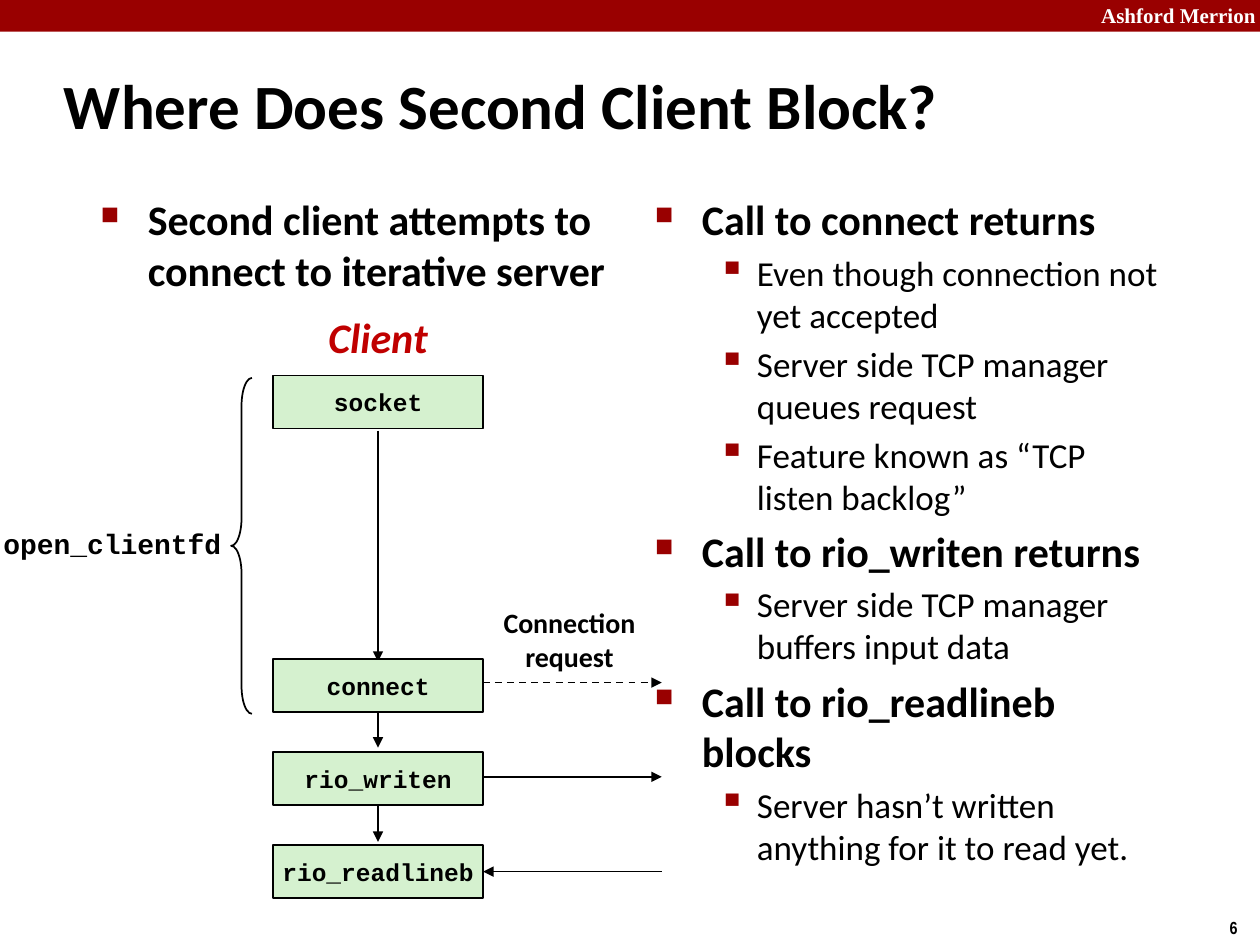
from lxml import etree
from pptx import Presentation
from pptx import util as u
from pptx.dml.color import RGBColor
from pptx.enum import dml, shapes, text
from pptx.oxml.ns import qn


def color(value):
    """Turn a hex string into a colour."""
    return RGBColor.from_string(value)


class SlideBuilder:
    """Hold the style and the slide, and draw each kind of element."""

    RED, BLACK, WHITE, GREEN = "990000", "000000", "FFFFFF", "D5F1CF"
    BODY, CODE = "Calibri", "Courier New"
    LEVELS = [
        dict(size=24, bold=True, left=0.95, hang=0.95, mark="■", scale=60),
        dict(size=20, bold=False, left=2.06, hang=0.79, mark="▪", scale=110),
    ]

    def __init__(self, presentation):
        """Add a blank slide."""
        self.slide = presentation.slides.add_slide(presentation.slide_layouts[6])

    def format_text(self, paragraph, size, font=BODY, fill=BLACK, bold=True, italic=False):
        """Style every run of a paragraph."""
        for run in paragraph.runs:
            run.font.size = u.Pt(size)
            run.font.name = font
            run.font.bold = bold
            run.font.italic = italic
            run.font.color.rgb = color(fill)

    def set_text(self, shape, lines, size, align="LEFT", anchor="MIDDLE", wrap=False, **style):
        """Fill a shape with styled lines."""
        frame = shape.text_frame
        frame.word_wrap = wrap
        frame.vertical_anchor = getattr(text.MSO_ANCHOR, anchor)
        frame.text = lines
        for paragraph in frame.paragraphs:
            paragraph.alignment = getattr(text.PP_ALIGN, align)
            self.format_text(paragraph, size, **style)

    def label(self, box, lines, size, **style):
        """Add a text box."""
        shape = self.slide.shapes.add_textbox(*map(u.Cm, box))
        self.set_text(shape, lines, size, **style)

    def shape(self, kind, box, fill=None, line=None):
        """Add a preset shape."""
        shape = self.slide.shapes.add_shape(kind, *map(u.Cm, box))
        shape.shadow.inherit = False
        if fill:
            shape.fill.solid()
            shape.fill.fore_color.rgb = color(fill)
        else:
            shape.fill.background()
        if line:
            shape.line.color.rgb = color(line)
            shape.line.width = u.Pt(1)
        else:
            shape.line.fill.background()
        return shape

    def call_box(self, top, name):
        """Add a box that names a function call."""
        shape = self.shape(shapes.MSO_SHAPE.RECTANGLE, (5.51, top, 4.23, 1.07), self.GREEN, self.BLACK)
        self.set_text(shape, name, 14, align="CENTER", font=self.CODE)

    def arrow(self, start, end, dashed=False):
        """Add a straight arrow."""
        connector = self.slide.shapes.add_connector(
            shapes.MSO_CONNECTOR.STRAIGHT, *map(u.Cm, start + end))
        connector.line.color.rgb = color(self.BLACK)
        connector.line.width = u.Pt(1)
        if dashed:
            connector.line.dash_style = dml.MSO_LINE.DASH
        properties = connector._element.spPr
        etree.SubElement(properties.find(qn("a:ln")), qn("a:tailEnd"), type="triangle")
        etree.SubElement(properties, qn("a:effectLst"))

    def bullets(self, box, items):
        """Add a two-level bulleted list."""
        frame = self.slide.shapes.add_textbox(*map(u.Cm, box)).text_frame
        frame.word_wrap = True
        for index, (level, line) in enumerate(items):
            paragraph = frame.add_paragraph() if index else frame.paragraphs[0]
            style = self.LEVELS[level]
            paragraph.text = line
            paragraph.level = level
            paragraph.space_before = u.Pt(style["size"] * 0.2)
            self.format_text(paragraph, style["size"], bold=style["bold"])
            properties = paragraph._p.get_or_add_pPr()
            properties.set("marL", str(u.Cm(style["left"])))
            properties.set("indent", str(-u.Cm(style["hang"])))
            bullet_color = etree.SubElement(properties, qn("a:buClr"))
            etree.SubElement(bullet_color, qn("a:srgbClr"), val=self.RED)
            etree.SubElement(properties, qn("a:buSzPct"), val=str(style["scale"] * 1000))
            etree.SubElement(properties, qn("a:buChar"), char=style["mark"])


presentation = Presentation()
presentation.slide_width, presentation.slide_height = u.Cm(25.4), u.Cm(19.05)
builder = SlideBuilder(presentation)

builder.shape(shapes.MSO_SHAPE.RECTANGLE, (0, 0, 25.4, 0.64), builder.RED)
builder.label((21.95, -0.08, 3.63, 0.76), "Ashford Merrion", 12, anchor="TOP",
              font="Times New Roman", fill=builder.WHITE)
builder.label((24.54, 18.36, 0.86, 0.69), "6", 10, anchor="TOP", font="Arial Narrow")
builder.label((1.04, 1.04, 21.08, 2.11), "Where Does Second Client Block?", 36, wrap=True)

builder.bullets((1.78, 3.78, 10.74, 3), [
    (0, "Second client attempts to connect to iterative server"),
])
builder.bullets((12.95, 3.78, 10.74, 13.82), [
    (0, "Call to connect returns"),
    (1, "Even though connection not yet accepted"),
    (1, "Server side TCP manager queues request"),
    (1, "Feature known as “TCP listen backlog”"),
    (0, "Call to rio_writen returns"),
    (1, "Server side TCP manager buffers input data"),
    (0, "Call to rio_readlineb blocks"),
    (1, "Server hasn’t written anything for it to read yet."),
])

builder.label((6.35, 6.15, 2.54, 1.27), "Client", 24, align="CENTER", fill="C00000", italic=True)
for top, bottom in [(8.68, 13.34), (14.22, 15.07), (16.13, 16.97)]:
    builder.arrow((7.62, top), (7.62, bottom))
builder.arrow((8.26, 13.76), (13.34, 13.76), dashed=True)
builder.arrow((9.74, 15.66), (13.34, 15.66))
builder.arrow((13.34, 17.57), (9.74, 17.57))

builder.call_box(7.57, "socket")
for step, name in enumerate(["connect", "rio_writen", "rio_readlineb"]):
    builder.call_box(13.28 + 1.88 * step, name)

builder.label((9.88, 12.07, 3.2, 1.63), "Connection\nrequest", 16, align="CENTER")
brace = builder.shape(shapes.MSO_SHAPE.LEFT_BRACE, (4.66, 7.62, 0.42, 6.77), line=builder.BLACK)
brace.adjustments[0] = 1.33
builder.label((-0.2, 10.49, 4.93, 0.94), "open_clientfd", 16, align="CENTER", font=builder.CODE)

presentation.save("out.pptx")
